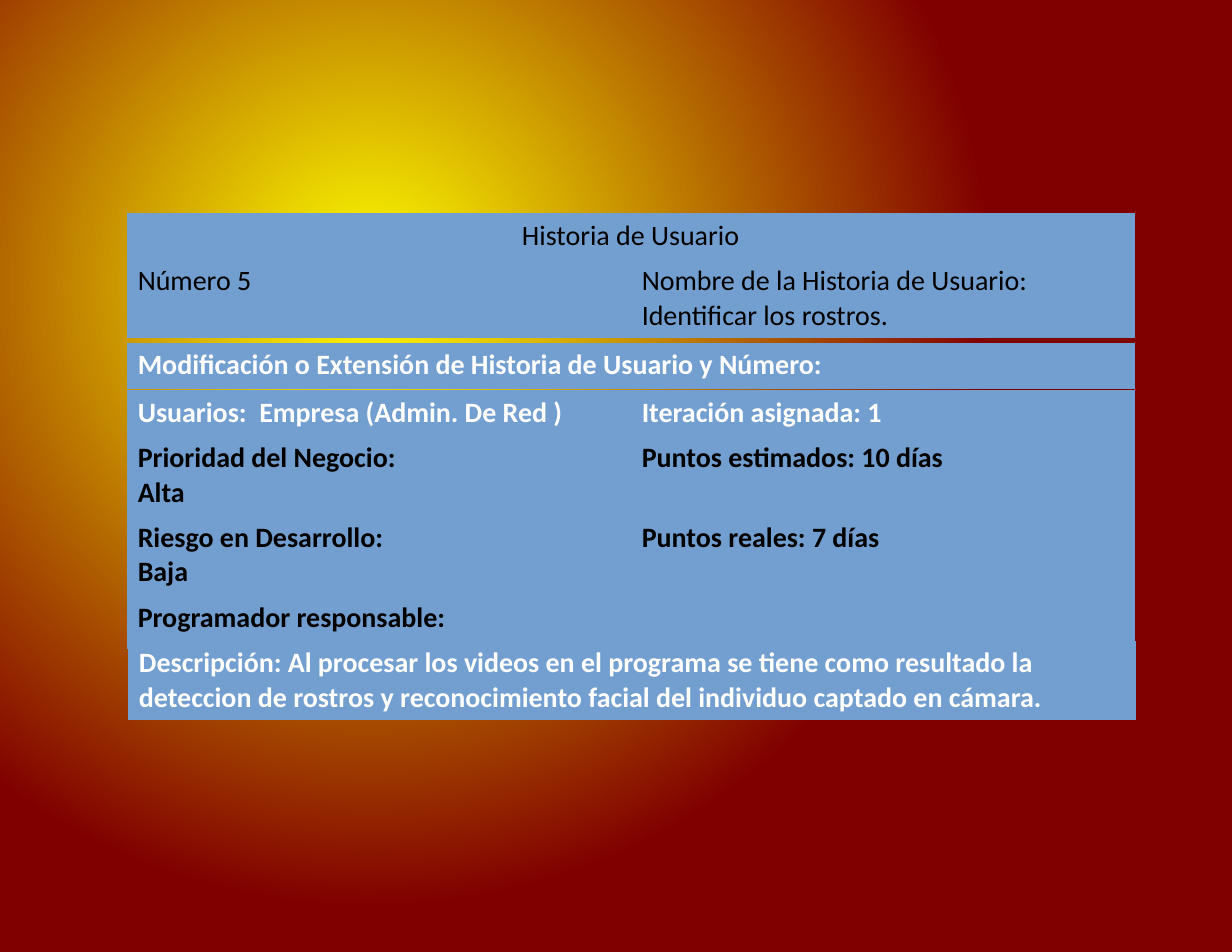
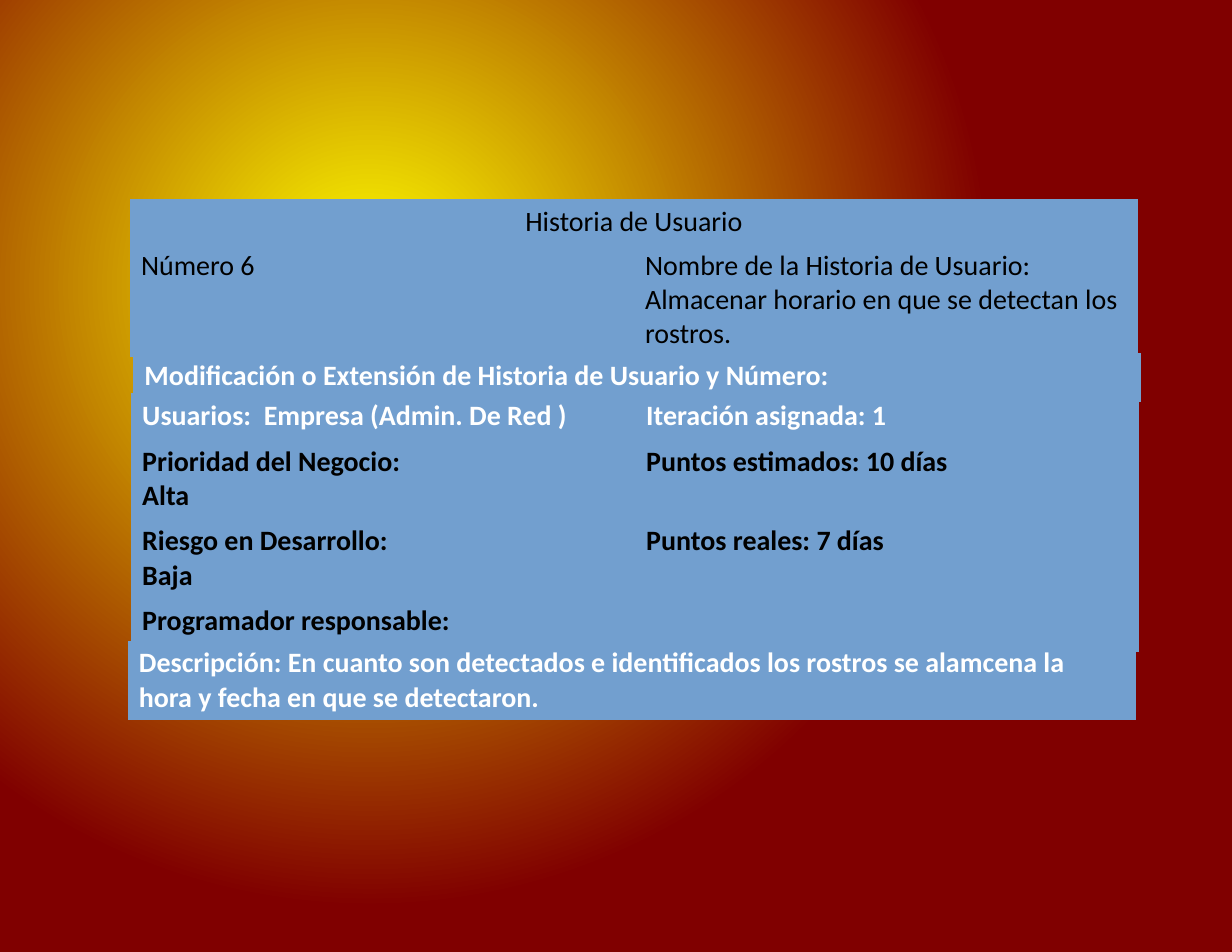
from pptx import Presentation
from pptx.dml.color import RGBColor
from pptx.enum.text import PP_ALIGN
from pptx.oxml import parse_xml
from pptx.oxml.ns import nsdecls
from pptx.util import Inches, Pt

CENTER, LEFT = PP_ALIGN.CENTER, PP_ALIGN.LEFT
WIDTH, HEIGHT = 11, 8.5
COLS, ROWS = 11, 8.5  # grid of the slide
BLACK, WHITE, BLUE = "000000", "FFFFFF", "729FCF"
YELLOW, MAROON = "FFFF00", "800000"
PLAIN_TABLE = "{2D5ABB26-0587-4C30-8999-92F81FD0307C}"
CARD_COLS = 9


def rgb(value):
    return RGBColor.from_string(value)


class Deck:
    font, size = "Calibri", Pt(18)

    def __init__(self):
        self.prs = Presentation()
        self.prs.slide_width = Inches(WIDTH)
        self.prs.slide_height = Inches(HEIGHT)
        self.background()

    def x(self, cols):
        return round(self.prs.slide_width * cols / COLS)

    def y(self, rows):
        return round(self.prs.slide_height * rows / ROWS)

    def background(self):
        """Radial gradient on the master, shared by every slide."""
        master = self.prs.slide_master
        master.background.fill.gradient()
        grad = master.element.xpath("./p:cSld/p:bg//a:gradFill")[0]
        stops = "".join(
            f'<a:gs pos="{pos * 1000}"><a:srgbClr val="{color}"/></a:gs>'
            for pos, color in ((0, YELLOW), (80, MAROON), (100, MAROON)))
        grad.getparent().replace(grad, parse_xml(
            f'<a:gradFill {nsdecls("a")} rotWithShape="1"><a:gsLst>{stops}</a:gsLst>'
            '<a:path path="circle"><a:fillToRect l="30000" t="30000" '
            'r="70000" b="70000"/></a:path></a:gradFill>'))

    def slide(self):
        self.s = self.prs.slides.add_slide(self.prs.slide_layouts[6])

    def cell(self, cell, text, color, bold, align):
        cell.fill.solid()
        cell.fill.fore_color.rgb = rgb(BLUE)
        cell.text_frame.text = text
        for p in cell.text_frame.paragraphs:
            p.alignment = align
            for r in p.runs:
                r.font.name, r.font.size = self.font, self.size
                r.font.bold = bold
                r.font.color.rgb = rgb(color)

    def table(self, left, top, heights, rows, colors, bold=True, align=LEFT):
        """Equal columns; one height and one text colour for each row."""
        shape = self.s.shapes.add_table(
            len(rows), len(rows[0]), self.x(left), self.y(top),
            self.x(CARD_COLS), self.y(sum(heights)))
        table = shape.table
        table.first_row = table.horz_banding = False
        shape.element.xpath(".//a:tableStyleId")[0].text = PLAIN_TABLE
        for i, (height, texts, color) in enumerate(zip(heights, rows, colors)):
            table.rows[i].height = self.y(height)
            for j, text in enumerate(texts):
                self.cell(table.cell(i, j), text, color, bold, align)

    def story(self, number, name, description, places, name_height, change_height):
        """One user story card: five stacked tables."""
        self.slide()
        title, heading, change, details, summary = places
        self.table(*title, [0.41], [["Historia de Usuario"]], [BLACK], False, CENTER)
        self.table(*heading, [name_height],
                   [[f"Número {number}", f"Nombre de la Historia de Usuario:\n{name}"]],
                   [BLACK], False)
        self.table(*change, [change_height],
                   [["Modificación o Extensión de Historia de Usuario y Número:"]], [WHITE])
        self.table(*details, [0.41, 0.71, 0.71, 0.48], DETAILS, [WHITE] + [BLACK] * 3)
        self.table(*summary, [0.71], [[f"Descripción: {description}"]], [WHITE])


# Rows that every story shares
DETAILS = [
    ["Usuarios:  Empresa (Admin. De Red )", "Iteración asignada: 1"],
    ["Prioridad del Negocio:\nAlta", "Puntos estimados: 10 días"],
    ["Riesgo en Desarrollo:\nBaja", "Puntos reales: 7 días"],
    ["Programador responsable:", ""],
]
SUMMARY = (1.14, 5.72)


def main():
    deck = Deck()

    # Story 5: identify faces
    deck.story(
        5, "Identificar los rostros.",
        "Al procesar los videos en el programa se tiene como resultado la deteccion "
        "de rostros y reconocimiento facial del individuo captado en cámara.",
        [(1.13, top) for top in (1.9, 2.31, 3.06, 3.48)] + [SUMMARY], 0.71, 0.41)

    # Story 6: store detection times
    deck.story(
        6, "Almacenar horario en que se detectan los rostros.",
        "En cuanto son detectados e identificados los rostros se alamcena la hora "
        "y fecha en que se detectaron.",
        [(1.16, 1.78), (1.16, 2.17), (1.19, 3.15), (1.17, 3.51), SUMMARY], 1.02, 0.44)

    deck.prs.save("out.pptx")


if __name__ == "__main__":
    main()
